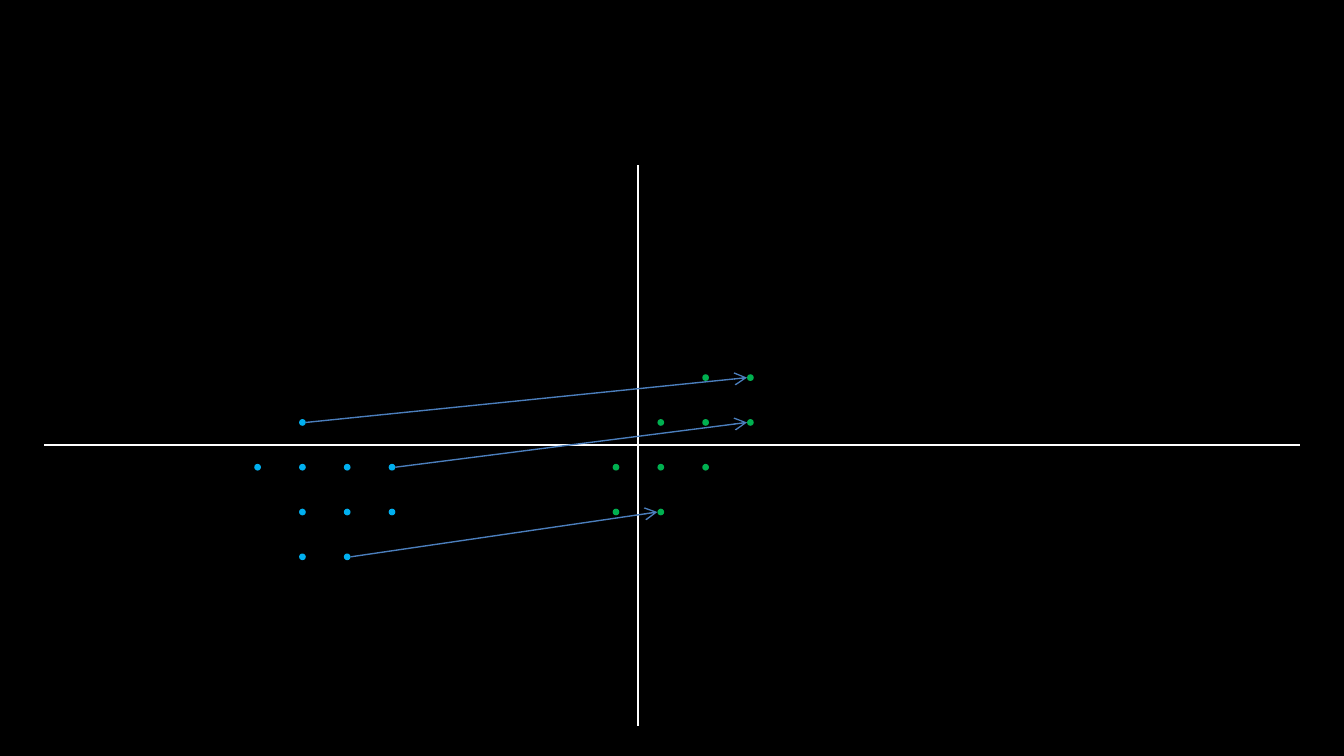
from lxml import etree
from pptx import Presentation
from pptx.dml.color import RGBColor
from pptx.enum.shapes import MSO_CONNECTOR, MSO_SHAPE
from pptx.oxml.ns import qn
from pptx.util import Inches, Pt

STRAIGHT = MSO_CONNECTOR.STRAIGHT
OVAL = MSO_SHAPE.OVAL

BLACK = RGBColor(0x00, 0x00, 0x00)
WHITE = RGBColor(0xFF, 0xFF, 0xFF)
GREEN = RGBColor(0x00, 0xB0, 0x50)
SKY = RGBColor(0x00, 0xB0, 0xF0)
BLUE = RGBColor(0x4B, 0x7E, 0xBC)

ORIGIN_X, ORIGIN_Y = 4.75, 3.31
CELL = 1 / 3
DOT = 0.05

# Grid row (counted upwards from the horizontal axis) -> columns with a dot
SOURCE_DOTS = {0: [-8], -1: [-9, -8, -7, -6], -2: [-8, -7, -6], -3: [-8, -7]}
TARGET_DOTS = {1: [1, 2], 0: [0, 1, 2], -1: [-1, 0, 1], -2: [-1, 0]}

# (column, row) of the source dot and of the target dot
MOVES = [((-7, -3), (0, -2)), ((-8, 0), (2, 1)), ((-6, -1), (2, 0))]


def cell_center(column, row):
    return ORIGIN_X + (column + 0.5) * CELL, ORIGIN_Y - (row + 0.5) * CELL


class GridPage:
    """Holds the current slide and draws axes, dots and arrows on it."""

    def __init__(self, deck):
        self.page = deck.slides.add_slide(deck.slide_layouts[6])
        background = self.page.background.fill
        background.solid()
        background.fore_color.rgb = BLACK

    def line(self, start, end, color, width):
        connector = self.page.shapes.add_connector(
            STRAIGHT, *(Inches(value) for value in (*start, *end)))
        connector.line.color.rgb = color
        connector.line.width = Pt(width)
        properties = connector._element.spPr
        etree.SubElement(properties, qn("a:effectLst"))
        return connector

    def axis(self, start, end):
        self.line(start, end, WHITE, 1)

    def dots(self, rows, color):
        for row, columns in rows.items():
            for column in columns:
                x, y = cell_center(column, row)
                dot = self.page.shapes.add_shape(
                    OVAL, Inches(x - DOT / 2), Inches(y - DOT / 2),
                    Inches(DOT), Inches(DOT))
                dot.shadow.inherit = False
                dot.fill.solid()
                dot.fill.fore_color.rgb = color
                dot.line.fill.background()

    def arrow(self, source, target):
        """Runs from the right side of one dot to the left side of another."""
        start_x, start_y = cell_center(*source)
        end_x, end_y = cell_center(*target)
        connector = self.line((start_x + DOT / 2, start_y),
                              (end_x - DOT / 2, end_y), BLUE, 0.75)
        outline = connector.line._get_or_add_ln()
        etree.SubElement(outline, qn("a:tailEnd"), type="arrow")


def main():
    deck = Presentation()
    deck.slide_width = Inches(10)
    deck.slide_height = Inches(5.625)
    grid = GridPage(deck)
    grid.axis((ORIGIN_X, 1.23), (ORIGIN_X, 5.4))
    grid.axis((0.33, ORIGIN_Y), (9.67, ORIGIN_Y))
    grid.dots(TARGET_DOTS, GREEN)
    grid.dots(SOURCE_DOTS, SKY)
    for source, target in MOVES:
        grid.arrow(source, target)
    deck.save("out.pptx")


if __name__ == "__main__":
    main()
